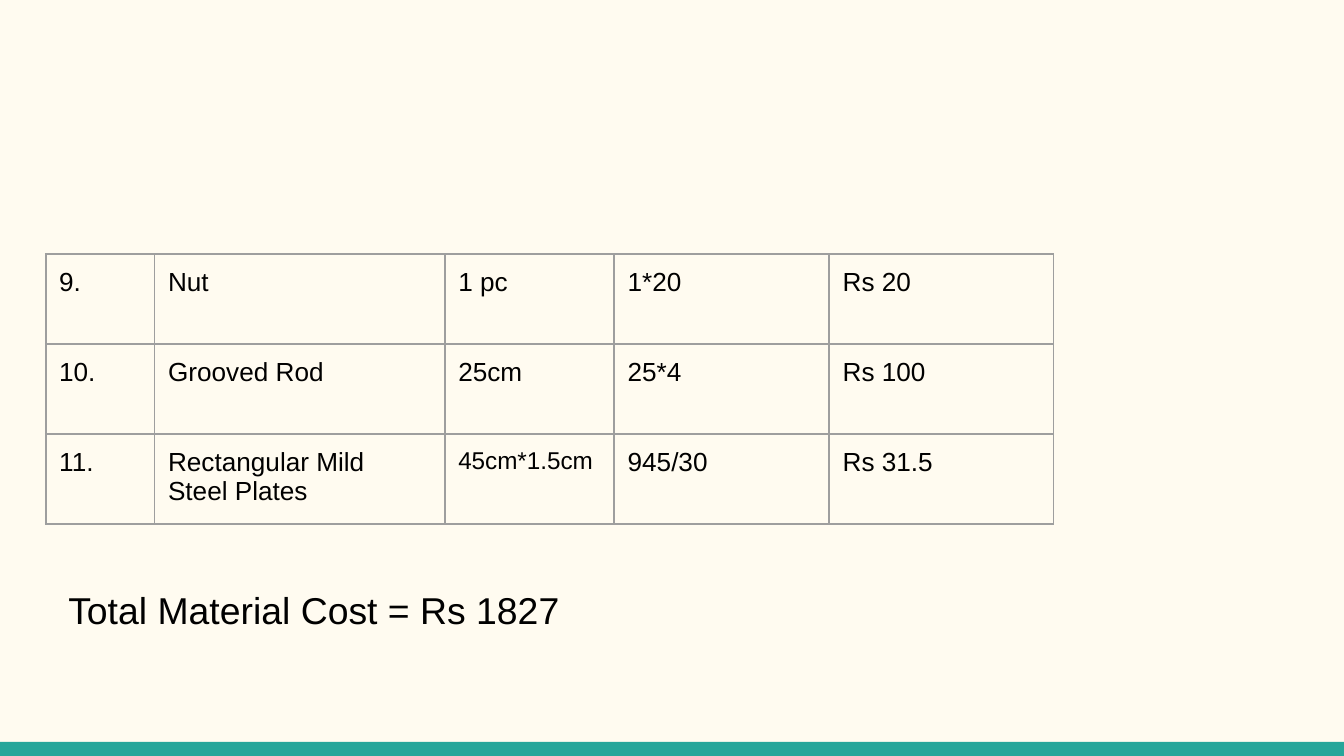
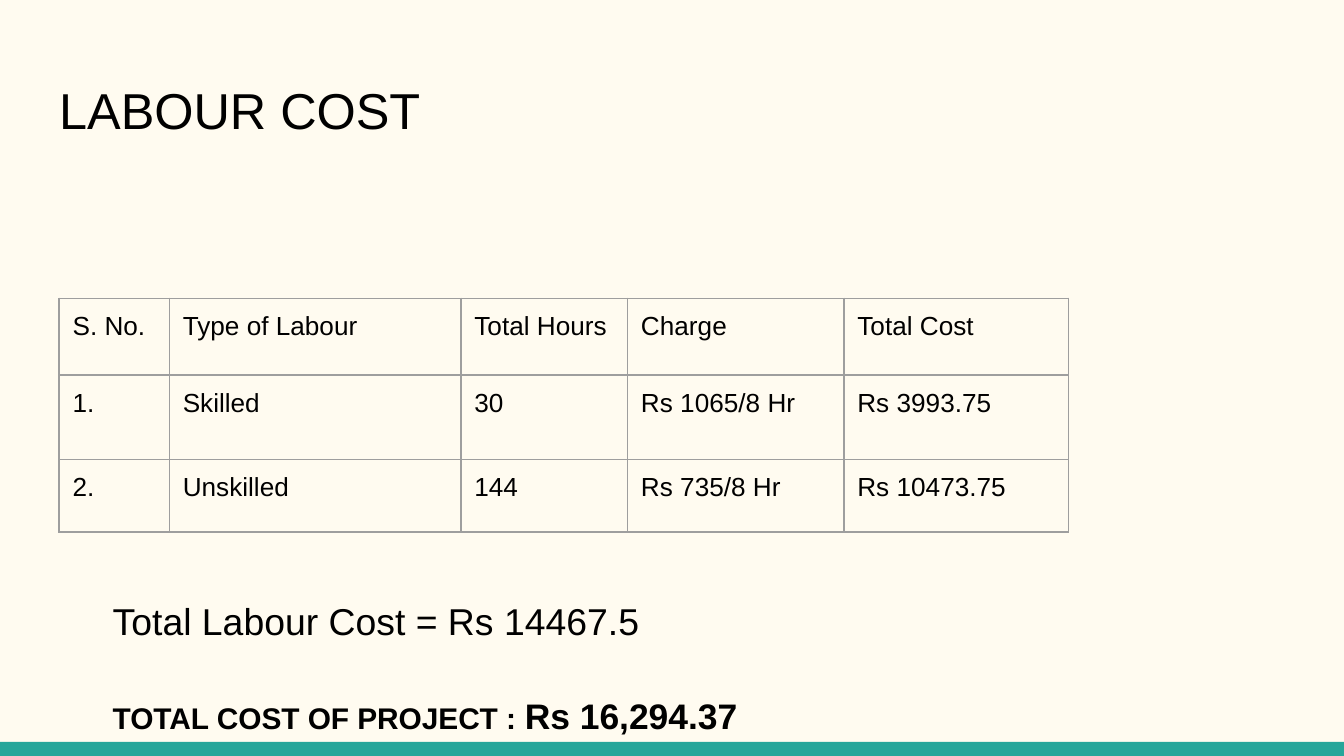
from dataclasses import dataclass

from lxml.etree import SubElement
from pptx import Presentation
from pptx.dml.color import RGBColor
from pptx.enum.shapes import MSO_SHAPE as Shape
from pptx.enum.text import MSO_ANCHOR as Anchor, PP_ALIGN as Align
from pptx.oxml.ns import qn
from pptx.util import Inches, Pt

SLIDE_WIDTH, SLIDE_HEIGHT = Inches(10), Inches(5.625)
TITLE_ONLY, BLANK = 5, 6


@dataclass(frozen=True)
class Theme:
    """Colours, font and type sizes shared by the slides."""
    paper: str = "FFFBF0"
    band: str = "26A69A"
    ink: str = "000000"
    rule: str = "9E9E9E"
    font: str = "Arial"
    title: int = 27
    total: int = 20
    grand_total: int = 19
    label: int = 16
    cell: int = 14
    small_cell: int = 13
    inset: float = 0.1
    line_spacing: float = 1.15


@dataclass(frozen=True)
class Box:
    """A region given in percent of the slide's width and height."""
    left: float
    top: float
    width: float
    height: float

    def lengths(self):
        """Return left, top, width and height as slide lengths."""
        return (int(SLIDE_WIDTH * self.left / 100), int(SLIDE_HEIGHT * self.top / 100),
                int(SLIDE_WIDTH * self.width / 100), int(SLIDE_HEIGHT * self.height / 100))


THEME = Theme()
BAND_BOX = Box(0, 98.13, 100, 1.87)
TITLE_BOX = Box(3.4, 8.65, 93.2, 11.91)


def add_text(paragraph, text, size, bold=False):
    """Append a run in the theme's font and ink."""
    run = paragraph.add_run()
    run.text = text
    run.font.name = THEME.font
    run.font.size = Pt(size)
    run.font.bold = bold
    run.font.color.rgb = RGBColor.from_string(THEME.ink)


def set_insets(area):
    """Give a text frame or cell the common inner margin."""
    area.margin_left = area.margin_right = Inches(THEME.inset)
    area.margin_top = area.margin_bottom = Inches(THEME.inset)


def add_band(slide, box):
    """Draw the coloured band along the bottom edge."""
    band = slide.shapes.add_shape(Shape.RECTANGLE, *box.lengths())
    band.shadow.inherit = False
    band.fill.solid()
    band.fill.fore_color.rgb = RGBColor.from_string(THEME.band)
    band.line.fill.background()


def set_title(slide, box, text):
    """Place and format the title placeholder."""
    title = slide.shapes.title
    title.left, title.top, title.width, title.height = box.lengths()
    frame = title.text_frame
    set_insets(frame)
    frame.vertical_anchor = Anchor.TOP
    paragraph = frame.paragraphs[0]
    paragraph.alignment = Align.LEFT
    add_text(paragraph, text, THEME.title)


def add_borders(cell):
    """Rule all four sides of a cell."""
    properties = cell._tc.get_or_add_tcPr()
    for side in ("a:lnL", "a:lnR", "a:lnT", "a:lnB"):
        line = SubElement(properties, qn(side), w=str(Pt(1)))
        fill = SubElement(line, qn("a:solidFill"))
        SubElement(fill, qn("a:srgbClr"), val=THEME.rule)


def share_out(lines, total, weights):
    """Divide a length over columns or rows by weight."""
    for line, weight in zip(lines, weights):
        length = int(total * weight / sum(weights))
        if hasattr(line, "width"):
            line.width = length
        else:
            line.height = length


def add_cost_table(slide, box, rows, column_weights, row_weights, small=()):
    """Fill the box with a ruled table of costs."""
    left, top, width, height = box.lengths()
    frame = slide.shapes.add_table(len(rows), len(rows[0]), left, top, width, height)
    table = frame.table
    table.first_row = table.horz_banding = False
    share_out(table.columns, width, column_weights)
    share_out(table.rows, height, row_weights)
    for row, texts in zip(table.rows, rows):
        for cell, text in zip(row.cells, texts):
            set_insets(cell)
            add_borders(cell)
            cell.fill.background()
            size = THEME.small_cell if text in small else THEME.cell
            add_text(cell.text_frame.paragraphs[0], text, size)


def add_totals(slide, box, lines, gap=0):
    """Write the lines of totals, each a list of text and format pairs."""
    frame = slide.shapes.add_textbox(*box.lengths()).text_frame
    frame.word_wrap = True
    set_insets(frame)
    for index, runs in enumerate(lines):
        paragraph = frame.add_paragraph() if index else frame.paragraphs[0]
        paragraph.line_spacing = THEME.line_spacing
        paragraph.space_before = Pt(gap if index else 0)
        for text, style in runs:
            add_text(paragraph, text, **style)


def add_slide(presentation, title=None):
    """Add a slide with the band and, if given, a title."""
    layout = presentation.slide_layouts[TITLE_ONLY if title else BLANK]
    slide = presentation.slides.add_slide(layout)
    add_band(slide, BAND_BOX)
    if title:
        set_title(slide, TITLE_BOX, title)
    return slide


def build_material_slide(presentation):
    """Build the last part of the material costs."""
    slide = add_slide(presentation)
    rows = [
        ("9.", "Nut", "1 pc", "1*20", "Rs 20"),
        ("10.", "Grooved Rod", "25cm", "25*4", "Rs 100"),
        ("11.", "Rectangular Mild Steel Plates", "45cm*1.5cm", "945/30", "Rs 31.5"),
    ]
    add_cost_table(slide, Box(3.4, 33.6, 75, 35.73), rows,
                   (0.81, 2.16, 1.26, 1.6, 1.67), (1, 1, 1), small=("45cm*1.5cm",))
    add_totals(slide, Box(4.1, 75, 41.6, 9.6),
               [[("Total Material Cost = Rs 1827", {"size": THEME.total})]])


def build_labour_slide(presentation):
    """Build the labour costs and the project total."""
    slide = add_slide(presentation, "LABOUR COST")
    rows = [
        ("S. No.", "Type of Labour", "Total Hours", "Charge", "Total Cost"),
        ("1.", "Skilled", "30", "Rs 1065/8 Hr", "Rs 3993.75"),
        ("2.", "Unskilled", "144", "Rs 735/8 Hr", "Rs 10473.75"),
    ]
    add_cost_table(slide, Box(4.4, 39.47, 75.1, 30.93), rows,
                   (0.82, 2.17, 1.24, 1.61, 1.67), (0.57, 0.63, 0.54))
    add_totals(slide, Box(7.4, 76.44, 66.2, 21.33), [
        [("Total Labour Cost = Rs 14467.5", {"size": THEME.total})],
        [("TOTAL COST OF PROJECT : ", {"size": THEME.label, "bold": True}),
         ("Rs 16,294.37", {"size": THEME.grand_total, "bold": True})],
    ], gap=24)


def main():
    """Build and save the presentation."""
    presentation = Presentation()
    presentation.slide_width, presentation.slide_height = SLIDE_WIDTH, SLIDE_HEIGHT
    background = presentation.slide_master.background.fill
    background.solid()
    background.fore_color.rgb = RGBColor.from_string(THEME.paper)
    build_material_slide(presentation)
    build_labour_slide(presentation)
    presentation.save("out.pptx")


if __name__ == "__main__":
    main()
